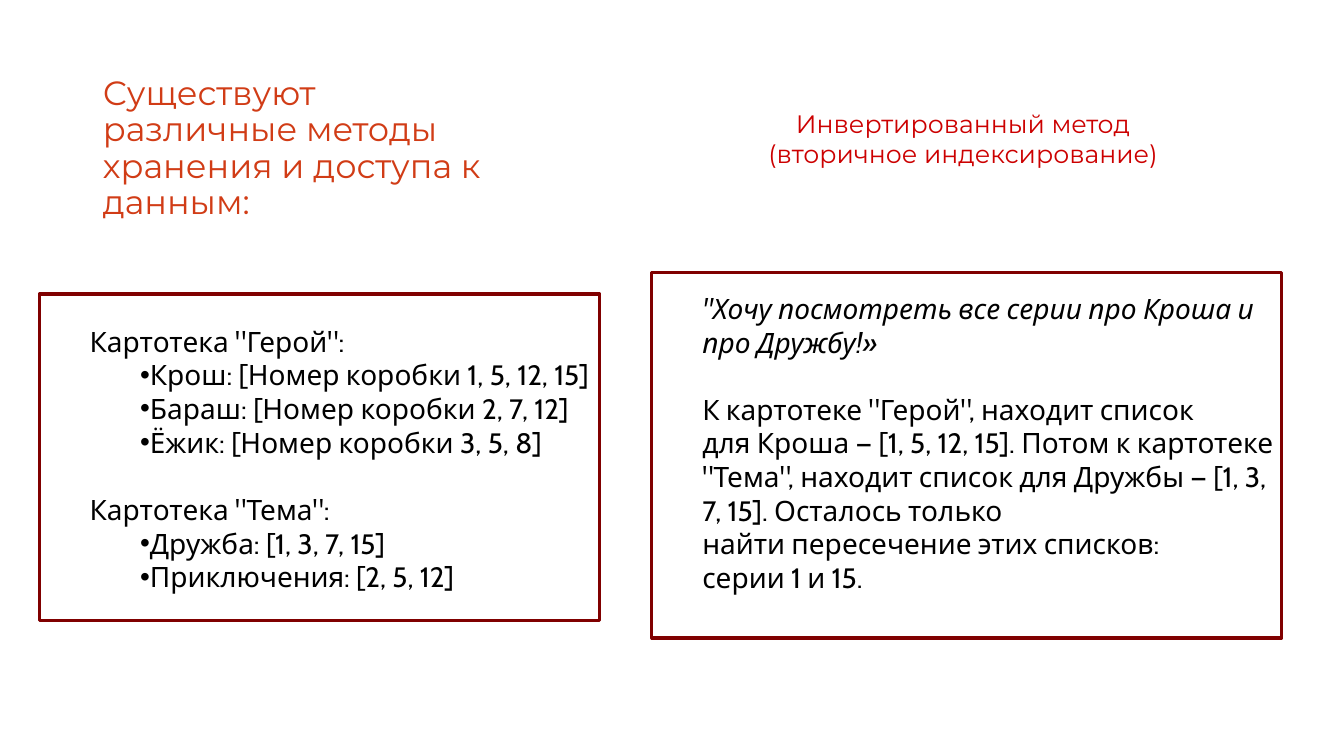
import lxml.etree
import pptx
import pptx.dml.color
import pptx.enum.shapes
import pptx.enum.text
import pptx.oxml.ns
import pptx.util
from pptx.util import Cm, Pt

HEADING_FONT = "Montserrat"
BODY_FONT = "Cabin"
ALIGN = pptx.enum.text.PP_ALIGN
ANCHOR = pptx.enum.text.MSO_ANCHOR
NO_BREAK_SPACE = chr(160)

CARD_INDEXES = [
    ('Картотека "Герой":', [
        "Крош: [Номер коробки 1, 5, 12, 15]",
        "Бараш: [Номер коробки 2, 7, 12]",
        "Ёжик: [Номер коробки 3, 5, 8]",
    ]),
    ('Картотека "Тема":', [
        "Дружба: [1, 3, 7, 15]",
        "Приключения: [2, 5, 12]",
    ]),
]
REQUEST = '"Хочу посмотреть все серии про Кроша и про Дружбу!»'
# A tilde stands for a no-break space
SEARCH = (
    'К картотеке "Герой", находит список для~Кроша~—~[1, 5, 12, 15]. '
    'Потом к картотеке "Тема", находит список для~Дружбы~—~[1, 3, 7, 15]. '
    "Осталось только найти~пересечение~этих списков: серии~1~и~15."
).replace("~", NO_BREAK_SPACE)


def color(value):
    return pptx.dml.color.RGBColor.from_string(value)


def place(shape, left, top, width, height):
    shape.left, shape.top = Cm(left), Cm(top)
    shape.width, shape.height = Cm(width), Cm(height)


def set_frame(shape, anchor):
    frame = shape.text_frame
    frame.word_wrap = True
    frame.auto_size = pptx.enum.text.MSO_AUTO_SIZE.NONE
    frame.vertical_anchor = anchor
    return frame


def style(paragraph, font_name, size, fill, align, line_spacing=1.0):
    paragraph.alignment = align
    paragraph.line_spacing = line_spacing
    paragraph.font.name = font_name
    paragraph.font.size = Pt(size)
    paragraph.font.color.rgb = color(fill)


def set_bullet(paragraph, left, character=None):
    """Indent the paragraph and set its bullet, or switch the bullet off."""
    properties = paragraph._p.get_or_add_pPr()
    properties.set("marL", str(Cm(left)))
    properties.set("indent", "0")
    tag = "a:buChar" if character else "a:buNone"
    bullet = lxml.etree.SubElement(properties, pptx.oxml.ns.qn(tag))
    if character:
        bullet.set("char", character)


def add_lines(frame, lines):
    """Write (text, level, space before, italic) lines into a frame."""
    for number, (text, level, gap, italic) in enumerate(lines):
        paragraph = frame.paragraphs[0] if number == 0 else frame.add_paragraph()
        paragraph.text = text
        paragraph.level = level
        paragraph.space_before = Pt(gap)
        set_bullet(paragraph, 1.27 * level, "•" if level == 2 else None)
        style(paragraph, BODY_FONT, 20, "000000", ALIGN.LEFT)
        paragraph.font.italic = italic


def format_panel(shape, bottom_margin=0):
    shape.fill.background()
    shape.line.color.rgb = color("800000")
    shape.line.width = Pt(2.25)
    frame = set_frame(shape, ANCHOR.MIDDLE)
    frame.margin_left = frame.margin_right = Cm(0)
    frame.margin_top = Cm(0.08)
    frame.margin_bottom = Cm(bottom_margin)
    return frame


def add_subtitle(slide, lines):
    box = slide.shapes.add_textbox(Cm(15.89), Cm(2.6), Cm(16.76), Cm(1.8))
    frame = set_frame(box, ANCHOR.TOP)
    frame.text = "\n".join(lines)
    for paragraph in frame.paragraphs:
        style(paragraph, HEADING_FONT, 18, "CC0000", ALIGN.CENTER)


def main():
    presentation = pptx.Presentation()
    presentation.slide_width = Cm(33.87)
    presentation.slide_height = Cm(19.05)
    slide = presentation.slides.add_slide(presentation.slide_layouts[1])

    # Headings
    title = slide.shapes.title
    place(title, 2.34, 1.26, 10.92, 4.45)
    frame = set_frame(title, ANCHOR.BOTTOM)
    frame.text = "Существуют различные методы хранения и доступа к данным:"
    style(frame.paragraphs[0], HEADING_FONT, 24, "D13C16", ALIGN.LEFT, 0.9)
    add_subtitle(slide, ["Инвертированный метод", "(вторичное индексирование)"])

    # Card indexes
    body = slide.placeholders[1]
    place(body, 0.99, 7.41, 14.12, 8.22)
    lines = []
    for heading, cards in CARD_INDEXES:
        lines.append((heading, 1, 24 if lines else 0, False))
        lines += [(card, 2, 0, False) for card in cards]
    add_lines(format_panel(body), lines)

    # Search example
    example = slide.shapes.add_shape(
        pptx.enum.shapes.MSO_SHAPE.RECTANGLE,
        Cm(16.43), Cm(6.87), Cm(15.87), Cm(9.21))
    example.shadow.inherit = False
    add_lines(format_panel(example, bottom_margin=0.72),
              [(REQUEST, 1, 0, True), (SEARCH, 1, 24, False)])

    presentation.save("out.pptx")


if __name__ == "__main__":
    main()
